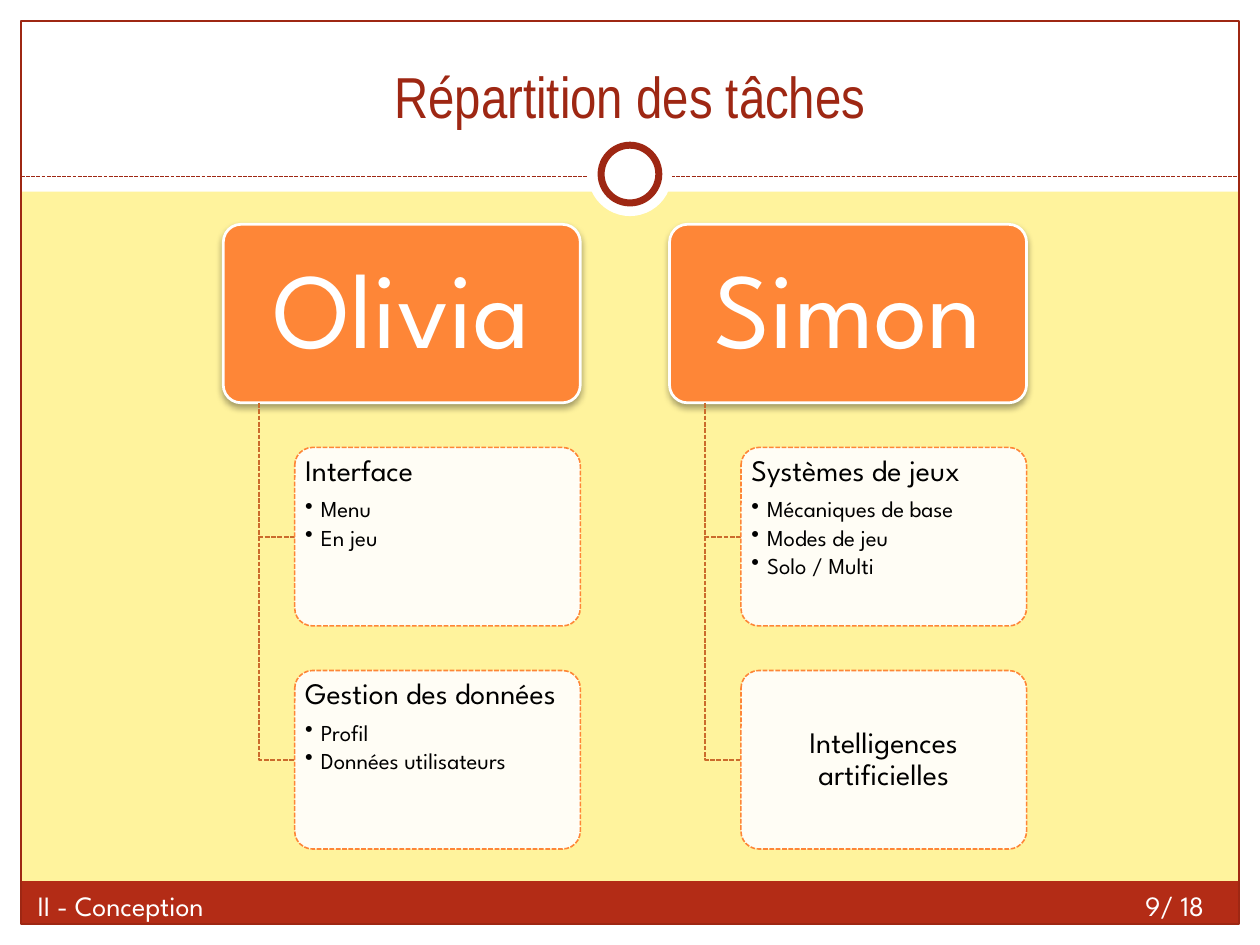
import pptx
import pptx.util
import pptx.dml.color
import pptx.enum.dml
import pptx.enum.shapes
import pptx.enum.text
import pptx.oxml
import pptx.oxml.ns

Pt = pptx.util.Pt
SHAPE = pptx.enum.shapes.MSO_SHAPE
ALIGN = pptx.enum.text.PP_ALIGN
ANCHOR = pptx.enum.text.MSO_ANCHOR
NAMESPACE = pptx.oxml.ns.nsdecls("a")

TITLE = "Répartition des tâches"
SECTION = "II - Conception"
PAGE_NUMBER = "9/ 18"
TEAM = [
    ("Olivia", [
        ("Interface", ["Menu", "En jeu"]),
        ("Gestion des données", ["Profil", "Données utilisateurs"]),
    ]),
    ("Simon", [
        ("Systèmes de jeux", ["Mécaniques de base", "Modes de jeu", "Solo / Multi"]),
        ("Intelligences artificielles", []),
    ]),
]

COLORS = {
    "background": "FFF39D", "white": "FFFFFF", "black": "000000", "footer": "B32C16",
    "frame": "9E2713", "orange": "FE8637", "branch": "CB6B2C",
}
TITLE_FONT = "Arial Narrow"
BODY_FONT = "League Spartan"

PAGE_WIDTH, PAGE_HEIGHT, MARGIN = 720, 540, 12
HEADER_HEIGHT = 109.5
FOOTER_TOP = 503.5
RULE_Y = 101
CIRCLE_Y = 99.5

TREE_LEFT, TREE_TOP = 127.6, 128.2
CARD_WIDTH, CARD_HEIGHT = 204, 102
COLUMN_STEP = CARD_WIDTH * 1.25
ROW_STEP = CARD_HEIGHT * 1.25
SPINE_OFFSET = CARD_WIDTH * 0.1
TASK_OFFSET = CARD_WIDTH * 0.2


def rgb(name):
    return pptx.dml.color.RGBColor.from_string(COLORS[name])


def set_line(shape, color, width, dashed=False):
    shape.line.color.rgb = rgb(color)
    shape.line.width = Pt(width)
    if dashed:
        shape.line.dash_style = pptx.enum.dml.MSO_LINE.SQUARE_DOT


def add_box(page, kind, left, top, width, height, fill=None, line=None):
    """Add a preset shape; line is (color, width) or (color, width, dashed)."""
    box = page.shapes.add_shape(kind, Pt(left), Pt(top), Pt(width), Pt(height))
    box.shadow.inherit = False
    if fill:
        box.fill.solid()
        box.fill.fore_color.rgb = rgb(fill)
    else:
        box.fill.background()
    if line:
        set_line(box, *line)
    else:
        box.line.fill.background()
    return box


def add_circle(page, diameter, **style):
    add_box(page, SHAPE.OVAL, (PAGE_WIDTH - diameter) / 2, CIRCLE_Y - diameter / 2,
            diameter, diameter, **style)


def write(frame, text, size, color, font=BODY_FONT, align=ALIGN.LEFT, first=True,
          spacing=None, after=0, bullet=False):
    """Write one paragraph, into the frame's first paragraph or a new one."""
    para = frame.paragraphs[0] if first else frame.add_paragraph()
    para.alignment = align
    para.space_after = Pt(after)
    if spacing:
        para.line_spacing = spacing
    if bullet:
        para.level = 1
        properties = para._p.get_or_add_pPr()
        properties.set("marL", str(Pt(9)))
        properties.set("indent", str(-Pt(9)))
        properties.append(pptx.oxml.parse_xml(f'<a:buChar {NAMESPACE} char="•"/>'))
    span = para.add_run()
    span.text = text
    span.font.size = Pt(size)
    span.font.name = font
    span.font.color.rgb = rgb(color)


def set_frame(frame, anchor, horizontal, vertical, wrap=True):
    frame.word_wrap = wrap
    frame.vertical_anchor = anchor
    frame.margin_left = frame.margin_right = Pt(horizontal)
    frame.margin_top = frame.margin_bottom = Pt(vertical)


def add_label(page, text, left, width, wrap):
    label = page.shapes.add_textbox(Pt(left), Pt(504), Pt(width), Pt(26.6))
    set_frame(label.text_frame, ANCHOR.TOP, 7.2, 3.6, wrap)
    write(label.text_frame, text, 16, "white")


def add_soft_shadow(shape):
    effects = shape.element.spPr.find(pptx.oxml.ns.qn("a:effectLst"))
    effects.append(pptx.oxml.parse_xml(
        f'<a:outerShdw {NAMESPACE} blurRad="{Pt(4)}" dist="{Pt(2)}" dir="5400000" '
        f'rotWithShape="0"><a:srgbClr val="{COLORS["black"]}"><a:alpha val="35000"/>'
        '</a:srgbClr></a:outerShdw>'))


def set_opacity(shape, percent):
    color = shape.element.spPr.find(pptx.oxml.ns.qn("a:solidFill"))[0]
    color.append(pptx.oxml.parse_xml(f'<a:alpha {NAMESPACE} val="{percent * 1000}"/>'))


def add_card(page, left, top, width, fill, line):
    card = add_box(page, SHAPE.ROUNDED_RECTANGLE, left, top, width, CARD_HEIGHT, fill, line)
    card.adjustments[0] = 0.1
    return card


def add_branch(page, left, top, right, bottom):
    builder = page.shapes.build_freeform(Pt(left), Pt(top))
    builder.add_line_segments([(Pt(left), Pt(bottom)), (Pt(right), Pt(bottom))], close=False)
    branch = builder.convert_to_shape()
    branch.shadow.inherit = False
    branch.fill.background()
    set_line(branch, "branch", 0.9, dashed=True)


def add_member(page, left, name, tasks):
    head = add_card(page, left, TREE_TOP, CARD_WIDTH, "orange", ("white", 1.57))
    add_soft_shadow(head)
    set_frame(head.text_frame, ANCHOR.MIDDLE, 9.4, 5.8)
    write(head.text_frame, name, 61, "white", align=ALIGN.CENTER, spacing=0.9)

    for row, (task, details) in enumerate(tasks, start=1):
        top = TREE_TOP + row * ROW_STEP
        add_branch(page, left + SPINE_OFFSET, TREE_TOP + CARD_HEIGHT,
                   left + TASK_OFFSET, top + CARD_HEIGHT / 2)
        card = add_card(page, left + TASK_OFFSET, top, CARD_WIDTH - TASK_OFFSET,
                        "white", ("orange", 0.9, True))
        set_opacity(card, 90)
        frame = card.text_frame
        set_frame(frame, ANCHOR.TOP if details else ANCHOR.MIDDLE, 3, 1.7)
        write(frame, task, 17, "black", spacing=0.9, after=6 if details else 0,
              align=ALIGN.LEFT if details else ALIGN.CENTER)
        for detail in details:
            write(frame, detail, 13, "black", first=False, spacing=0.9, after=2, bullet=True)


def add_frame(page):
    bands = [
        (0, PAGE_HEIGHT - MARGIN, PAGE_WIDTH, MARGIN, "white"),
        (0, 0, PAGE_WIDTH, HEADER_HEIGHT, "white"),
        (0, 0, MARGIN, PAGE_HEIGHT, "white"),
        (PAGE_WIDTH - MARGIN, 0, MARGIN, PAGE_HEIGHT, "white"),
        (MARGIN, FOOTER_TOP, PAGE_WIDTH - 2 * MARGIN, PAGE_HEIGHT - MARGIN - FOOTER_TOP, "footer"),
    ]
    for *place, color in bands:
        add_box(page, SHAPE.RECTANGLE, *place, fill=color)
    add_box(page, SHAPE.RECTANGLE, MARGIN, MARGIN, PAGE_WIDTH - 2 * MARGIN,
            PAGE_HEIGHT - 2 * MARGIN, line=("frame", 0.75))
    rule = page.shapes.add_connector(pptx.enum.shapes.MSO_CONNECTOR.STRAIGHT, Pt(MARGIN),
                                     Pt(RULE_Y), Pt(PAGE_WIDTH - MARGIN), Pt(RULE_Y))
    set_line(rule, "frame", 0.75, dashed=True)
    rule.element.spPr.append(pptx.oxml.parse_xml(f"<a:effectLst {NAMESPACE}/>"))
    add_circle(page, 48, fill="white")
    add_circle(page, 33, fill="white", line=("frame", 4))


def add_title(page):
    title = page.shapes.title
    title.left, title.top, title.width, title.height = Pt(24), Pt(18), Pt(672), Pt(60)
    title.element.getparent().append(title.element)  # bring in front of the header band
    set_frame(title.text_frame, ANCHOR.BOTTOM, 7.2, 3.6)
    title.text_frame.auto_size = pptx.enum.text.MSO_AUTO_SIZE.NONE
    write(title.text_frame, TITLE, 33, "frame", font=TITLE_FONT, align=ALIGN.CENTER)


def main():
    deck = pptx.Presentation()
    deck.slide_width, deck.slide_height = Pt(PAGE_WIDTH), Pt(PAGE_HEIGHT)
    page = deck.slides.add_slide(deck.slide_layouts.get_by_name("Title Only"))
    page.background.fill.solid()
    page.background.fill.fore_color.rgb = rgb("background")
    add_frame(page)
    add_title(page)
    for column, (name, tasks) in enumerate(TEAM):
        add_member(page, TREE_LEFT + column * COLUMN_STEP, name, tasks)
    add_label(page, PAGE_NUMBER, 647.3, 52.6, wrap=False)
    add_label(page, SECTION, 14.4, 249, wrap=True)
    deck.save("out.pptx")


if __name__ == "__main__":
    main()
